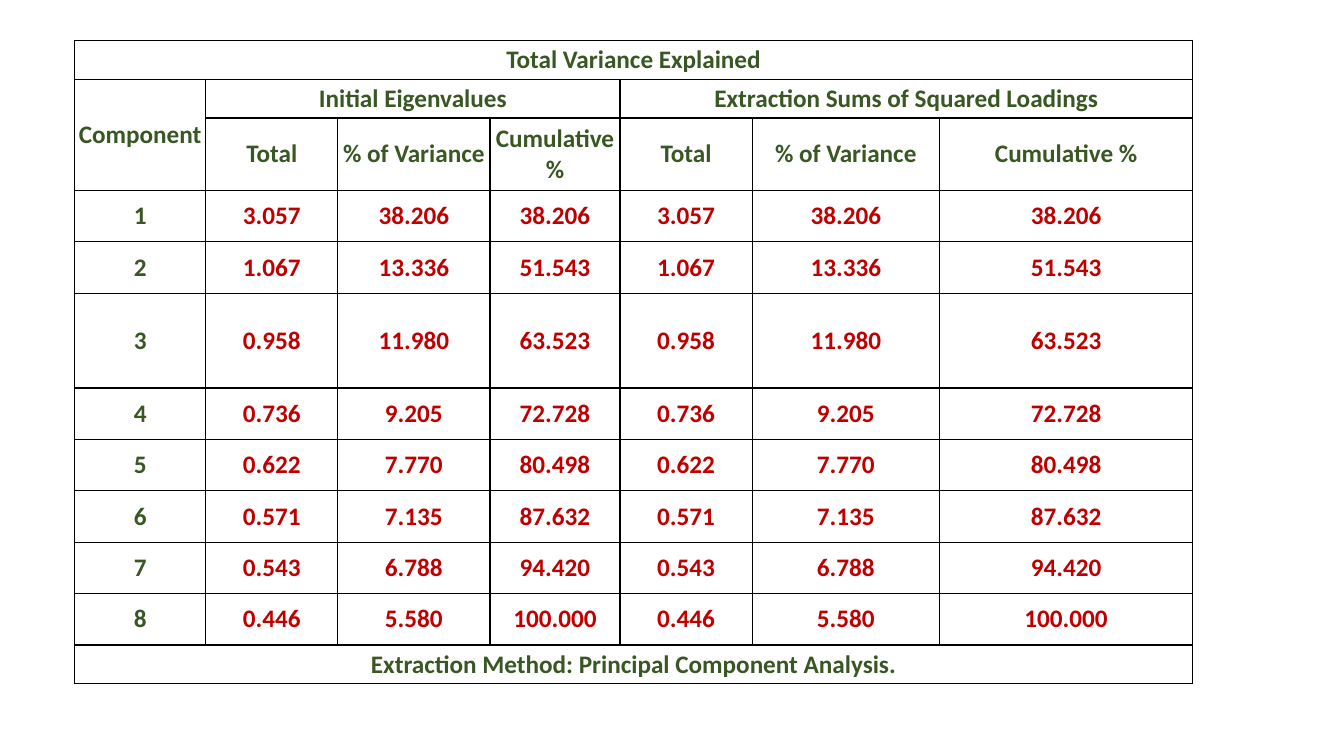
from lxml import etree
from pptx import Presentation
from pptx.dml.color import RGBColor
from pptx.enum.text import MSO_ANCHOR, PP_ALIGN
from pptx.oxml.ns import qn
from pptx.util import Inches, Pt

CENTER = PP_ALIGN.CENTER
MIDDLE = MSO_ANCHOR.MIDDLE
BLANK_LAYOUT = 6

COLORS = {"label": "385723", "value": "C00000", "cell": "FFFFFF", "border": "000000"}

COLUMN_WIDTHS = [1.3, 1.31, 1.51, 1.29, 1.31, 1.86, 2.51]
HEADER_HEIGHTS = [0.3, 0.3, 0.72]
COMPONENT_HEIGHT = 0.51
TALL_COMPONENT_HEIGHT = 0.94
FOOTER_HEIGHT = 0.3

MEASURES = ["Total", "% of Variance", "Cumulative %"]
VARIANCES = [
    ["3.057", "38.206", "38.206"],
    ["1.067", "13.336", "51.543"],
    ["0.958", "11.980", "63.523"],
    ["0.736", "9.205", "72.728"],
    ["0.622", "7.770", "80.498"],
    ["0.571", "7.135", "87.632"],
    ["0.543", "6.788", "94.420"],
    ["0.446", "5.580", "100.000"],
]


class TableSlide:
    font_name = "Calibri"
    font_size = Pt(18)
    margin = Inches(0.04)
    border_width = Pt(1)

    def __init__(self, presentation):
        layout = presentation.slide_layouts[BLANK_LAYOUT]
        self.slide = presentation.slides.add_slide(layout)

    def add_table(self, left, top, widths, heights):
        frame = self.slide.shapes.add_table(
            len(heights), len(widths), Inches(left), Inches(top),
            Inches(sum(widths)), Inches(sum(heights)))
        table = frame.table
        for column, width in zip(table.columns, widths):
            column.width = Inches(width)
        for row, height in zip(table.rows, heights):
            row.height = Inches(height)
            for cell in row.cells:
                self.style_cell(cell)
        return table

    def style_cell(self, cell):
        cell.fill.solid()
        cell.fill.fore_color.rgb = RGBColor.from_string(COLORS["cell"])
        cell.vertical_anchor = MIDDLE
        cell.margin_left = cell.margin_right = self.margin
        cell.margin_top = cell.margin_bottom = self.margin
        self.add_borders(cell)
        self.style_text(cell, "label")

    def add_borders(self, cell):
        """Outline all four sides; border elements must precede the fill."""
        properties = cell._tc.get_or_add_tcPr()
        for index, side in enumerate(["a:lnL", "a:lnR", "a:lnT", "a:lnB"]):
            line = etree.Element(qn(side), w=str(self.border_width))
            fill = etree.SubElement(line, qn("a:solidFill"))
            etree.SubElement(fill, qn("a:srgbClr"), val=COLORS["border"])
            properties.insert(index, line)

    def style_text(self, cell, color):
        paragraph = cell.text_frame.paragraphs[0]
        paragraph.alignment = CENTER
        font = paragraph.font
        font.name = self.font_name
        font.size = self.font_size
        font.bold = True
        font.color.rgb = RGBColor.from_string(COLORS[color])

    def fill_cell(self, table, row, column, text, color="label", rows=1, columns=1):
        """Put text in a cell, merging it over the given number of rows and columns."""
        cell = table.cell(row, column)
        if rows > 1 or columns > 1:
            cell.merge(table.cell(row + rows - 1, column + columns - 1))
        cell.text_frame.paragraphs[0].add_run().text = text
        self.style_text(cell, color)


def main():
    presentation = Presentation()
    presentation.slide_width = Inches(13.33)
    presentation.slide_height = Inches(7.5)
    page = TableSlide(presentation)

    component_heights = [COMPONENT_HEIGHT] * len(VARIANCES)
    component_heights[2] = TALL_COMPONENT_HEIGHT
    heights = HEADER_HEIGHTS + component_heights + [FOOTER_HEIGHT]
    table = page.add_table(0.74, 0.4, COLUMN_WIDTHS, heights)

    full_width = len(COLUMN_WIDTHS)
    page.fill_cell(table, 0, 0, "Total Variance Explained", columns=full_width)
    page.fill_cell(table, 1, 0, "Component", rows=2)
    page.fill_cell(table, 1, 1, "Initial Eigenvalues", columns=3)
    page.fill_cell(table, 1, 4, "Extraction Sums of Squared Loadings", columns=3)
    for column, measure in enumerate(MEASURES * 2, start=1):
        page.fill_cell(table, 2, column, measure)

    for component, variances in enumerate(VARIANCES, start=1):
        row = component + len(HEADER_HEIGHTS) - 1
        page.fill_cell(table, row, 0, str(component))
        for column, value in enumerate(variances * 2, start=1):
            page.fill_cell(table, row, column, value, "value")

    page.fill_cell(table, len(heights) - 1, 0,
                   "Extraction Method: Principal Component Analysis.", columns=full_width)
    presentation.save("out.pptx")


if __name__ == "__main__":
    main()
